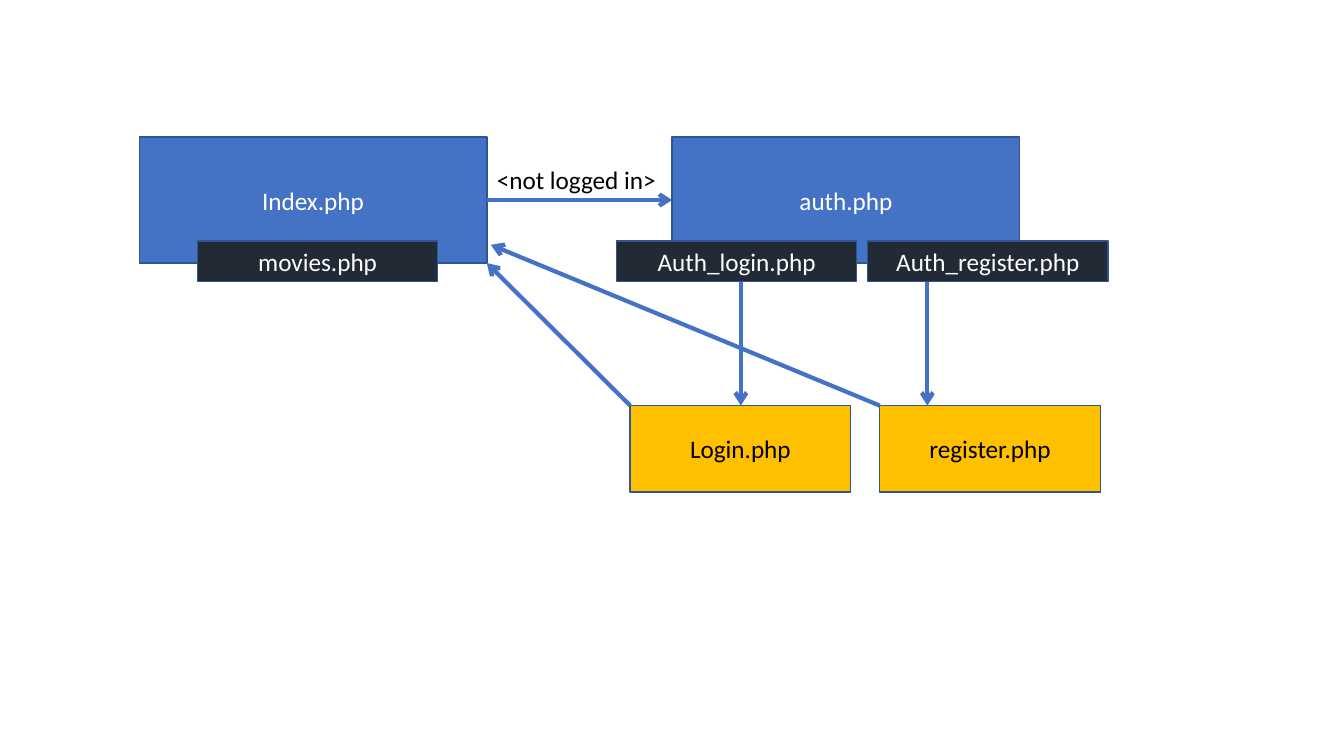
import pptx
import pptx.util
import pptx.dml.color
import pptx.enum.shapes
import pptx.enum.text
import pptx.oxml.ns
import lxml.etree

Cm = pptx.util.Cm
HUES = {
    "page": "4472C4",
    "edge": "325491",
    "part": "222A35",
    "task": "FFC000",
    "light": "FFFFFF",
    "dark": "000000",
}


class Chart:
    """Holds the style and the slide of the page flow."""

    def __init__(self, slide):
        """Keep the slide and set the font."""
        self.slide = slide
        self.font = "Calibri"
        self.size = pptx.util.Pt(18)

    def hue(self, name):
        """Return the named colour."""
        return pptx.dml.color.RGBColor.from_string(HUES[name])

    def letter(self, shape, text, ink, align):
        """Put styled text in a shape."""
        frame = shape.text_frame
        frame.text = text
        frame.word_wrap = True
        para = frame.paragraphs[0]
        para.alignment = align
        font = para.runs[0].font
        font.name, font.size = self.font, self.size
        font.color.rgb = self.hue(ink)

    def box(self, text, left, top, size, fill, ink="light"):
        """Add a filled box with centred text."""
        shape = self.slide.shapes.add_shape(
            pptx.enum.shapes.MSO_SHAPE.RECTANGLE,
            Cm(left), Cm(top), Cm(size[0]), Cm(size[1]))
        shape.shadow.inherit = False
        shape.fill.solid()
        shape.fill.fore_color.rgb = self.hue(fill)
        shape.line.color.rgb = self.hue("edge")
        shape.line.width = pptx.util.Pt(1)
        self.letter(shape, text, ink, pptx.enum.text.PP_ALIGN.CENTER)

    def label(self, text, left, top, wide, high):
        """Add plain text."""
        shape = self.slide.shapes.add_textbox(
            Cm(left), Cm(top), Cm(wide), Cm(high))
        self.letter(shape, text, "dark", pptx.enum.text.PP_ALIGN.LEFT)

    def arrow(self, start, end):
        """Add a straight arrow between two points."""
        link = self.slide.shapes.add_connector(
            pptx.enum.shapes.MSO_CONNECTOR.STRAIGHT,
            *(Cm(value) for value in (*start, *end)))
        link.line.color.rgb = self.hue("page")
        link.line.width = pptx.util.Pt(3)
        qn = pptx.oxml.ns.qn
        props = link._element.spPr
        lxml.etree.SubElement(
            props.find(qn("a:ln")), qn("a:tailEnd"), type="arrow")
        lxml.etree.SubElement(props, qn("a:effectLst"))


def main():
    """Build the page flow and save it."""
    deck = pptx.Presentation()
    deck.slide_width, deck.slide_height = Cm(33.87), Cm(19.05)
    chart = Chart(deck.slides.add_slide(deck.slide_layouts[6]))

    page, part, task = (8.76, 3.18), (6.05, 1.02), (5.56, 2.18)
    index, auth, top = 3.51, 16.94, 3.45
    login, register, low = 15.88, 22.17, 10.22
    right, base, mid = index + page[0], top + page[1], top + page[1] / 2

    for text, left in (("Index.php", index), ("auth.php", auth)):
        chart.box(text, left, top, page, "page")
    chart.label("<not logged in>", right, 4.01, 7.57, 1.02)
    for text, left in (("Login.php", login), ("register.php", register)):
        chart.box(text, left, low, task, "task", "dark")

    chart.arrow((right, mid), (auth, mid))
    for drop in (18.67, 23.37):
        chart.arrow((drop, base), (drop, low))
    chart.arrow((login, low), (right, base))
    chart.arrow((register, low), (12.37, 6.17))

    parts = (("Auth_login.php", 15.54), ("Auth_register.php", 21.87),
             ("movies.php", 4.98))
    for text, left in parts:
        chart.box(text, left, 6.07, part, "part")

    deck.save("out.pptx")


main()
